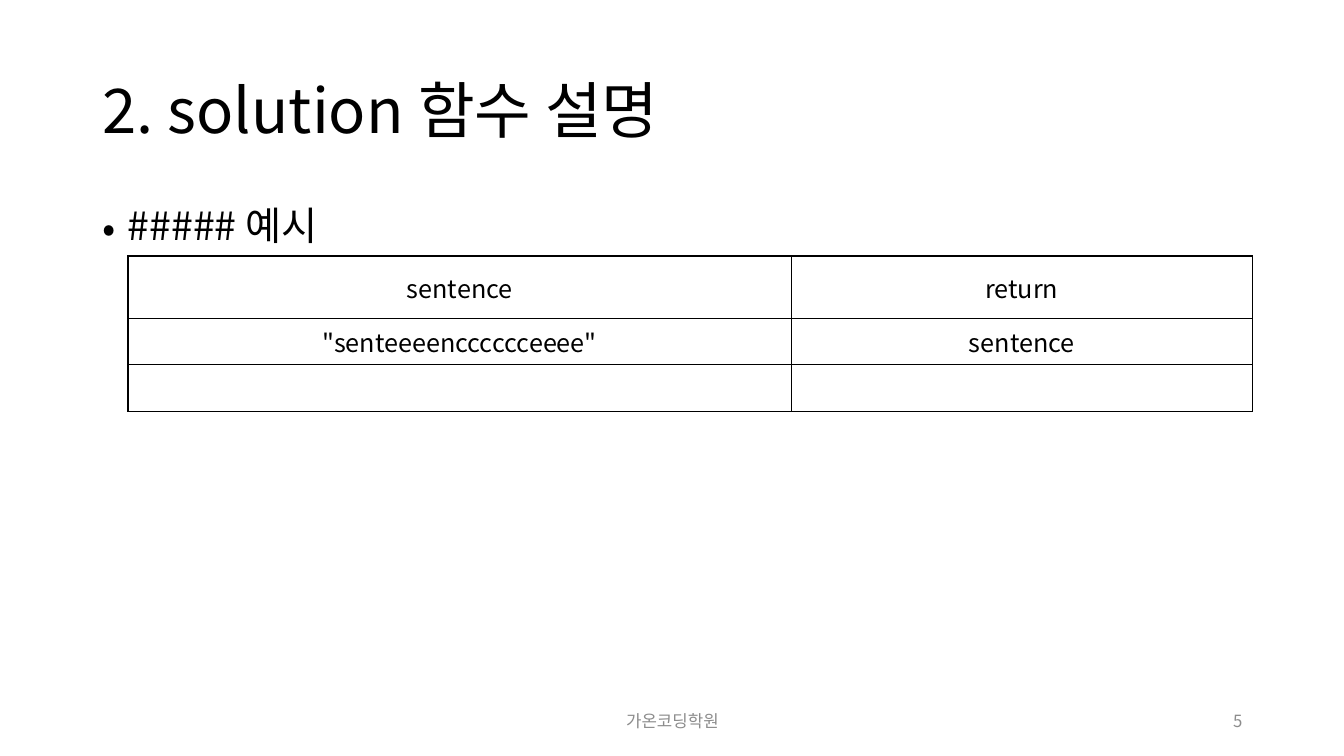
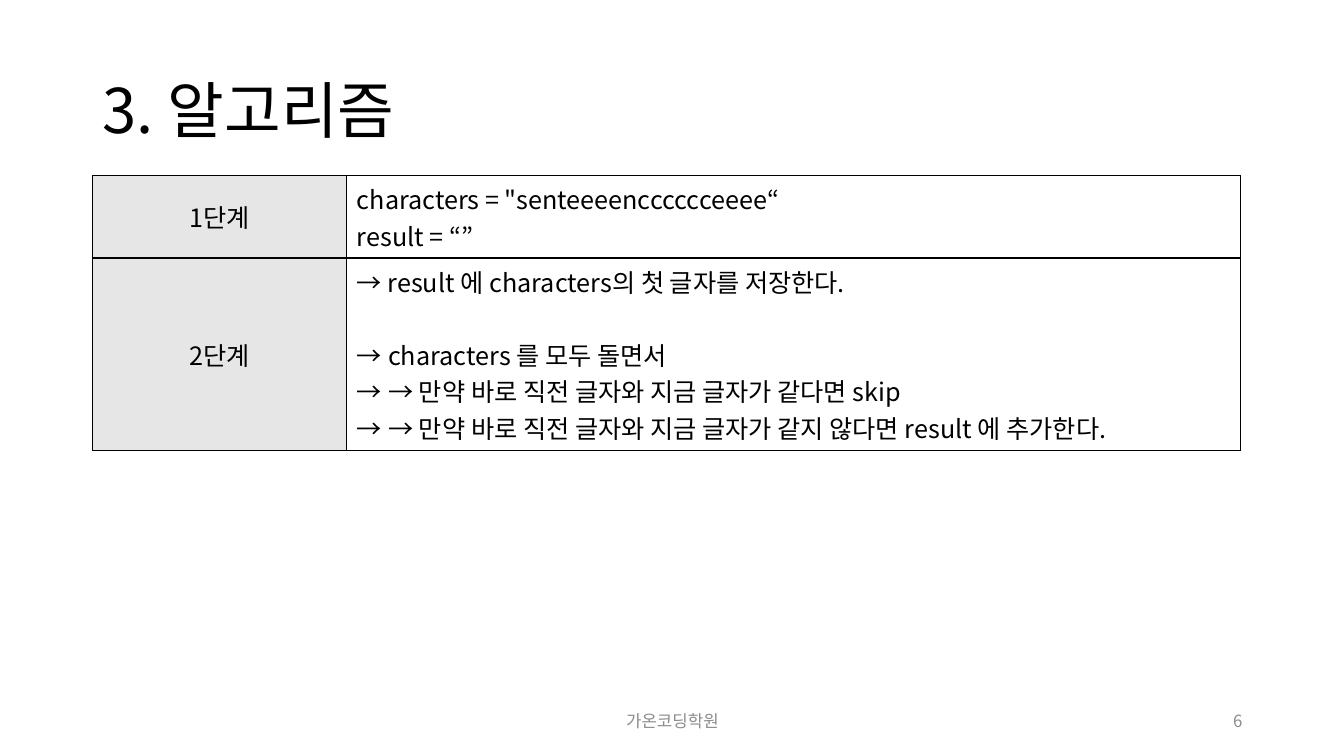
"""Build two slides that explain a string exercise and its algorithm."""
from lxml.etree import SubElement
from pptx import Presentation
from pptx.dml.color import RGBColor
from pptx.enum.text import MSO_ANCHOR as Anchor, PP_ALIGN as Align
from pptx.oxml.ns import qn
from pptx.util import Inches, Pt

FONT = "Noto Sans CJK KR"
BLACK, GREY, LABEL_FILL = "000000", "8C8C8C", "E7E6E6"
LEFT, CONTENT_WIDTH = 0.92, 11.5
FOOTER = "가온코딩학원"
BLANK_LINE = 26


def rgb(color):
    return RGBColor.from_string(color)


def format_paragraph(paragraph, size, color=BLACK, align=Align.LEFT, spacing=None):
    paragraph.alignment = align
    if spacing:
        paragraph.line_spacing = spacing
    for run in paragraph.runs:
        run.font.size = Pt(size)
        run.font.name = FONT
        run.font.color.rgb = rgb(color)
        SubElement(run._r.get_or_add_rPr(), qn("a:ea"), typeface=FONT)


def add_bullet(paragraph, character, indent):
    properties = paragraph._p.get_or_add_pPr()
    properties.set("marL", str(Inches(indent)))
    properties.set("indent", str(-Inches(indent)))
    SubElement(properties, qn("a:buFont"), typeface=FONT)
    SubElement(properties, qn("a:buChar"), char=character)


def add_text(slide, box, text, size, anchor=Anchor.MIDDLE, **style):
    shape = slide.shapes.add_textbox(*map(Inches, box))
    frame = shape.text_frame
    frame.word_wrap = True
    frame.vertical_anchor = anchor
    frame.text = text
    paragraph = frame.paragraphs[0]
    format_paragraph(paragraph, size, **style)
    return paragraph


def add_borders(cell):
    properties = cell._tc.get_or_add_tcPr()
    for side in ("lnL", "lnR", "lnT", "lnB"):
        line = SubElement(properties, qn(f"a:{side}"), w=str(Pt(1)))
        fill = SubElement(line, qn("a:solidFill"))
        SubElement(fill, qn("a:srgbClr"), val=BLACK)


def fill_cell(cell, text, align, fill=None):
    add_borders(cell)
    if fill:
        cell.fill.solid()
        cell.fill.fore_color.rgb = rgb(fill)
    else:
        cell.fill.background()
    cell.vertical_anchor = Anchor.MIDDLE
    if text:
        cell.text_frame.text = text
    for paragraph in cell.text_frame.paragraphs:
        format_paragraph(paragraph, 18, align=align)


def add_table(slide, left, top, widths, heights, rows, column_styles):
    box = map(Inches, (left, top, sum(widths), sum(heights)))
    table = slide.shapes.add_table(len(heights), len(widths), *box).table
    table.first_row = table.horz_banding = False
    for column, width in zip(table.columns, widths):
        column.width = Inches(width)
    for row, height, texts in zip(table.rows, heights, rows):
        row.height = Inches(height)
        for cell, text, style in zip(row.cells, texts, column_styles):
            fill_cell(cell, text, **style)
    return table


def add_slide(presentation, title, number):
    slide = presentation.slides.add_slide(presentation.slide_layouts[6])
    add_text(slide, (LEFT, 0.4, CONTENT_WIDTH, 1.45), title, 44, spacing=0.9)
    add_text(slide, (4.42, 6.95, 4.5, 0.4), FOOTER, 12, color=GREY, align=Align.CENTER)
    add_text(slide, (9.42, 6.95, 3, 0.4), str(number), 12, color=GREY, align=Align.RIGHT)
    return slide


def add_example_slide(presentation):
    slide = add_slide(presentation, "2. solution 함수 설명", 5)
    heading = add_text(slide, (LEFT, 2, CONTENT_WIDTH, 4.76), "##### 예시", 28,
                       anchor=Anchor.TOP, spacing=0.9)
    add_bullet(heading, "•", 0.25)
    rows = [("sentence", "return"), ('"senteeeencccccceeee"', "sentence"), ("", "")]
    add_table(slide, 1.27, 2.54, (6.58, 4.57), (0.62, 0.46, 0.46), rows,
              [{"align": Align.CENTER}] * 2)


def add_algorithm_slide(presentation):
    slide = add_slide(presentation, "3. 알고리즘", 6)
    setup = ['characters = "senteeeencccccceeee“', "result = “”"]
    steps = [
        "→ result 에 characters의 첫 글자를 저장한다.",
        "characters 를 모두 돌면서",
        "→ 만약 바로 직전 글자와 지금 글자가 같다면 skip",
        "→ 만약 바로 직전 글자와 지금 글자가 같지 않다면 result 에 추가한다.",
    ]
    rows = [("1단계", "\n".join(setup)), ("2단계", "\n".join(steps))]
    table = add_table(slide, LEFT, 1.74, (2.52, 8.86), (0.82, 1.91), rows,
                      [{"align": Align.CENTER, "fill": LABEL_FILL}, {"align": Align.LEFT}])
    loop = table.cell(1, 1).text_frame.paragraphs[1:]
    for paragraph in loop:
        add_bullet(paragraph, "→", 0.31)
    loop[0].space_before = Pt(BLANK_LINE)


def main():
    presentation = Presentation()
    presentation.slide_width = Inches(13.33)
    presentation.slide_height = Inches(7.5)
    add_example_slide(presentation)
    add_algorithm_slide(presentation)
    presentation.save("out.pptx")


if __name__ == "__main__":
    main()
